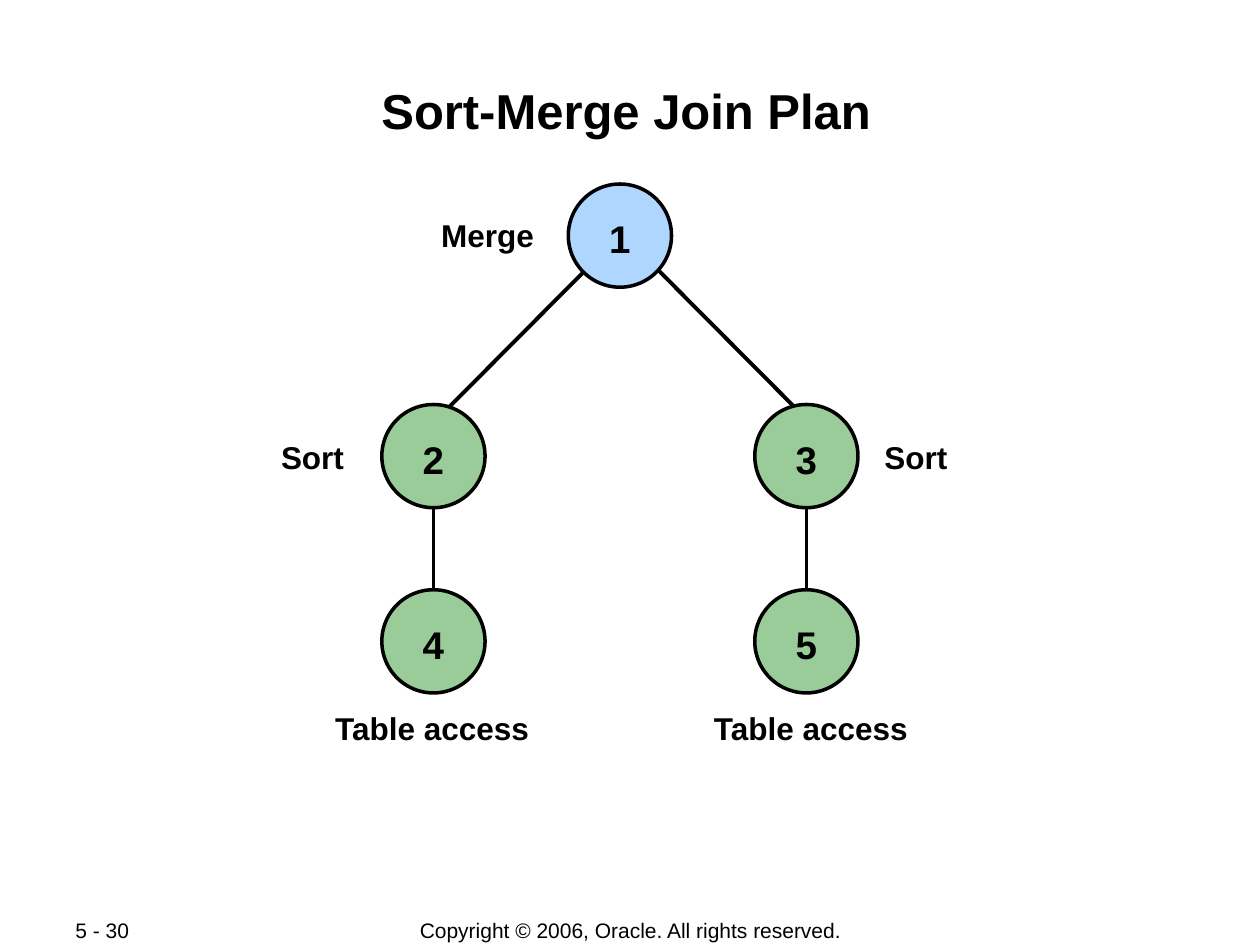
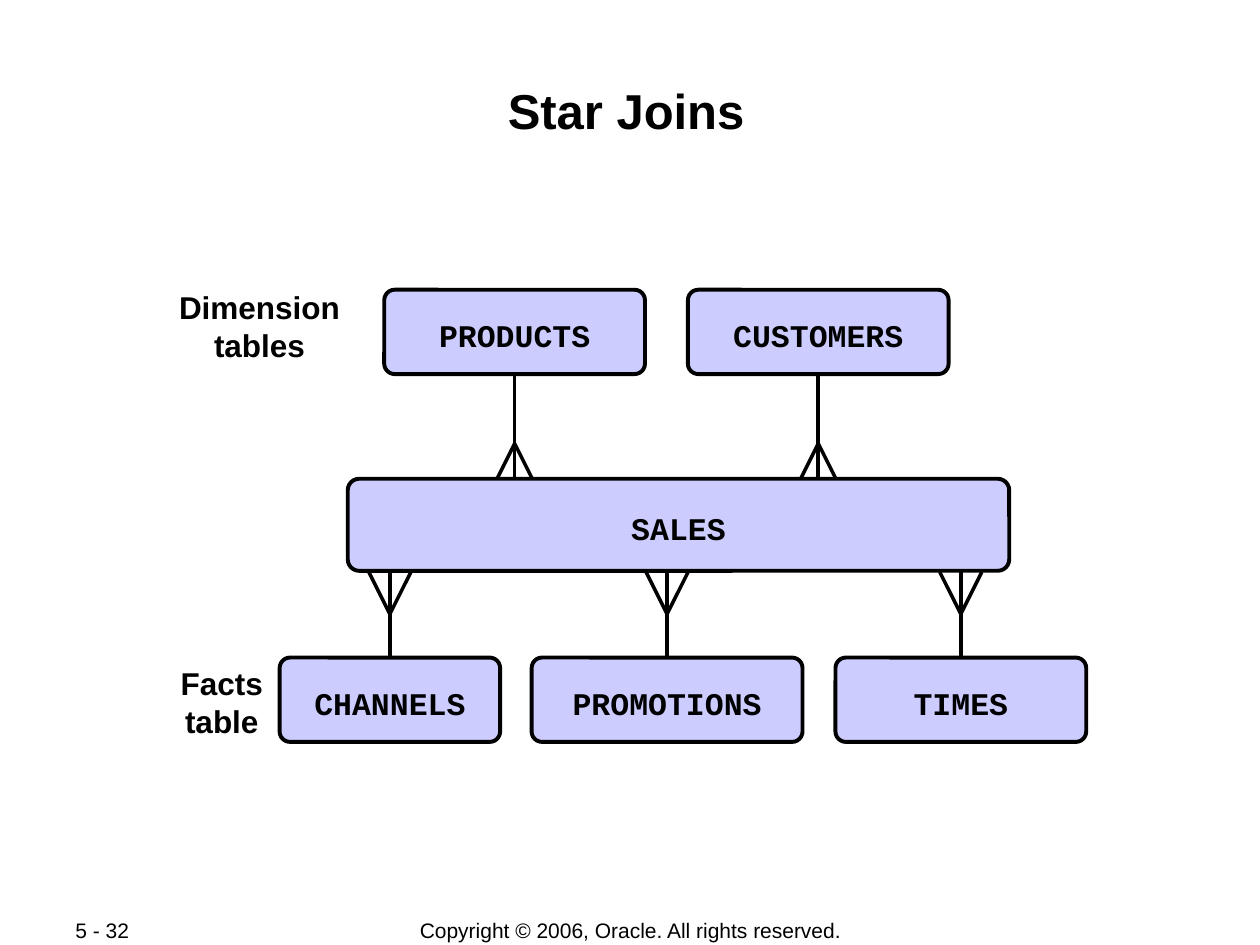
import pptx
import pptx.dml.color
import pptx.enum.shapes
import pptx.enum.text
import pptx.oxml.ns
import pptx.util
from lxml import etree

Pt = pptx.util.Pt
RGBColor = pptx.dml.color.RGBColor
ALIGN = pptx.enum.text.PP_ALIGN
ANCHOR = pptx.enum.text.MSO_ANCHOR
SHAPES = pptx.enum.shapes.MSO_SHAPE

BLACK = RGBColor(0x00, 0x00, 0x00)
BLUE = RGBColor(0xAE, 0xD6, 0xFF)
GREEN = RGBColor(0x99, 0xCC, 0x99)
LAVENDER = RGBColor(0xCC, 0xCC, 0xFF)

SANS = "Arial"
MONO = "Courier New"
COPYRIGHT = "Copyright © 2006, Oracle. All rights reserved."

NODE_SIZE = 59
ROOT = (354.24, 134.64)
BRANCH_OFFSET = 106.56
SORT_Y = 260.64
ACCESS_Y = 366.48
LABEL_LINE = 21.6

DIMENSION_TABLES = [("PRODUCTS", 219.6, 149), ("CUSTOMERS", 393.1, 149)]
LOWER_TABLES = [("CHANNELS", 159.8, 126), ("PROMOTIONS", 303.8, 154.8), ("TIMES", 477.4, 143.3)]


def write_text(shape, text, size, font=SANS, bold=True, align=ALIGN.CENTER):
    """Put black text in a shape, one paragraph per line."""
    shape.text_frame.text = text
    for paragraph in shape.text_frame.paragraphs:
        paragraph.alignment = align
        paragraph.font.size = Pt(size)
        paragraph.font.name = font
        paragraph.font.bold = bold
        paragraph.font.color.rgb = BLACK


def add_text(slide, text, left, top, width, height, size, **style):
    """Add a wrapping text box."""
    shape = slide.shapes.add_textbox(Pt(left), Pt(top), Pt(width), Pt(height))
    shape.text_frame.word_wrap = True
    write_text(shape, text, size, **style)
    return shape


def add_label(slide, text, left, top, width):
    """Add a bold label that grows with its text."""
    lines = text.count("\n") + 1
    frame = add_text(slide, text, left, top, width, 7.2 + LABEL_LINE * lines, 18).text_frame
    frame.word_wrap = False
    frame.auto_size = pptx.enum.text.MSO_AUTO_SIZE.SHAPE_TO_FIT_TEXT
    for paragraph in frame.paragraphs:
        paragraph.line_spacing = Pt(LABEL_LINE)


def add_line(slide, start, end, width=2):
    """Draw a black straight line without shadow."""
    line = slide.shapes.add_connector(
        pptx.enum.shapes.MSO_CONNECTOR.STRAIGHT, *(Pt(value) for value in (*start, *end)))
    line.line.color.rgb = BLACK
    line.line.width = Pt(width)
    properties = line._element.find(pptx.oxml.ns.qn("p:spPr"))
    etree.SubElement(properties, pptx.oxml.ns.qn("a:effectLst"))


def add_box(slide, kind, text, bounds, fill, line_width, size, font):
    """Add a filled, outlined shape with centred text."""
    shape = slide.shapes.add_shape(kind, *(Pt(value) for value in bounds))
    shape.shadow.inherit = False
    shape.fill.solid()
    shape.fill.fore_color.rgb = fill
    shape.line.color.rgb = BLACK
    shape.line.width = Pt(line_width)
    shape.text_frame.word_wrap = False
    shape.text_frame.vertical_anchor = ANCHOR.MIDDLE
    shape.text_frame.margin_top = Pt(6.6)
    write_text(shape, text, size, font)
    return shape


def add_node(slide, number, center, fill):
    """Add a numbered plan circle around its centre."""
    x, y = center
    bounds = (x - NODE_SIZE / 2, y - NODE_SIZE / 2, NODE_SIZE, NODE_SIZE)
    add_box(slide, SHAPES.OVAL, number, bounds, fill, 2, 22, SANS)


def add_table_box(slide, name, left, top, width, height=48.2):
    """Add a rounded box that stands for a database table."""
    bounds = (left, top, width, height)
    box = add_box(slide, SHAPES.ROUNDED_RECTANGLE, name, bounds, LAVENDER, 2.25, 18, MONO)
    box.adjustments[0] = 0.124


def add_crows_foot(slide, x, start, direction):
    """Draw a vertical relation line that ends in a crow's foot."""
    end = start + 72 * direction
    fork = start + 48 * direction
    add_line(slide, (x, start), (x, end))
    for side in (-12, 12):
        add_line(slide, (x, fork), (x + side, end))


def add_slide(presentation, title, page):
    """Add a blank slide with the shared title and footers."""
    slide = presentation.slides.add_slide(presentation.slide_layouts[6])
    page_box = add_text(slide, page, 36, 524.2, 76.3, 14.4, 12, bold=False, align=ALIGN.LEFT)
    copyright_box = add_text(slide, COPYRIGHT, 198.7, 524.2, 323.3, 15.1, 12, bold=False)
    for footer in (page_box, copyright_box):
        footer.text_frame.vertical_anchor = ANCHOR.MIDDLE
    frame = add_text(slide, title, 69.8, 41.8, 576, 69.1, 28).text_frame
    frame.margin_left = frame.margin_right = frame.margin_bottom = Pt(0.7)
    frame.margin_top = Pt(4)
    return slide


def build_plan(presentation):
    """Build the join plan tree."""
    slide = add_slide(presentation, "Sort-Merge Join Plan", "5 - 30")
    root_x, root_y = ROOT
    for side, sort, access in ((-1, "2", "4"), (1, "3", "5")):
        x = root_x + side * BRANCH_OFFSET
        middle = root_x + 1.1
        add_line(slide, (middle + side * 8.3, 141.8), (middle + side * 109.4, 243.4), 2.25)
        add_line(slide, (x, SORT_Y), (x, ACCESS_Y))
        add_node(slide, sort, (x, SORT_Y), GREEN)
        add_node(slide, access, (x, ACCESS_Y), GREEN)
    add_node(slide, "1", ROOT, BLUE)
    add_label(slide, "Merge", 244.8, 120.2, 67.7)
    for left in (153.4, 498.2):
        add_label(slide, "Sort", left, 247, 50.4)
    for left in (183.6, 400):
        add_label(slide, "Table access", left, 401.8, 126.7)


def build_star(presentation):
    """Build the star join diagram."""
    slide = add_slide(presentation, "Star Joins", "5 - 32")
    add_label(slide, "Dimension\ntables", 95, 161.3, 106.6)
    add_label(slide, "Facts\ntable", 95.8, 375.8, 61.9)
    for tables, start, direction in ((DIMENSION_TABLES, 205.5, 1), (LOWER_TABLES, 398.9, -1)):
        for _, left, width in tables:
            add_crows_foot(slide, left + width / 2, start, direction)
    add_table_box(slide, "SALES", 198.7, 273.6, 378, 52.6)
    for tables, top in ((DIMENSION_TABLES, 165.6), (LOWER_TABLES, 375.8)):
        for name, left, width in tables:
            add_table_box(slide, name, left, top, width)


def main():
    """Build and save the presentation."""
    presentation = pptx.Presentation()
    presentation.slide_width = Pt(720)
    presentation.slide_height = Pt(540)
    build_plan(presentation)
    build_star(presentation)
    presentation.save("out.pptx")


if __name__ == "__main__":
    main()
